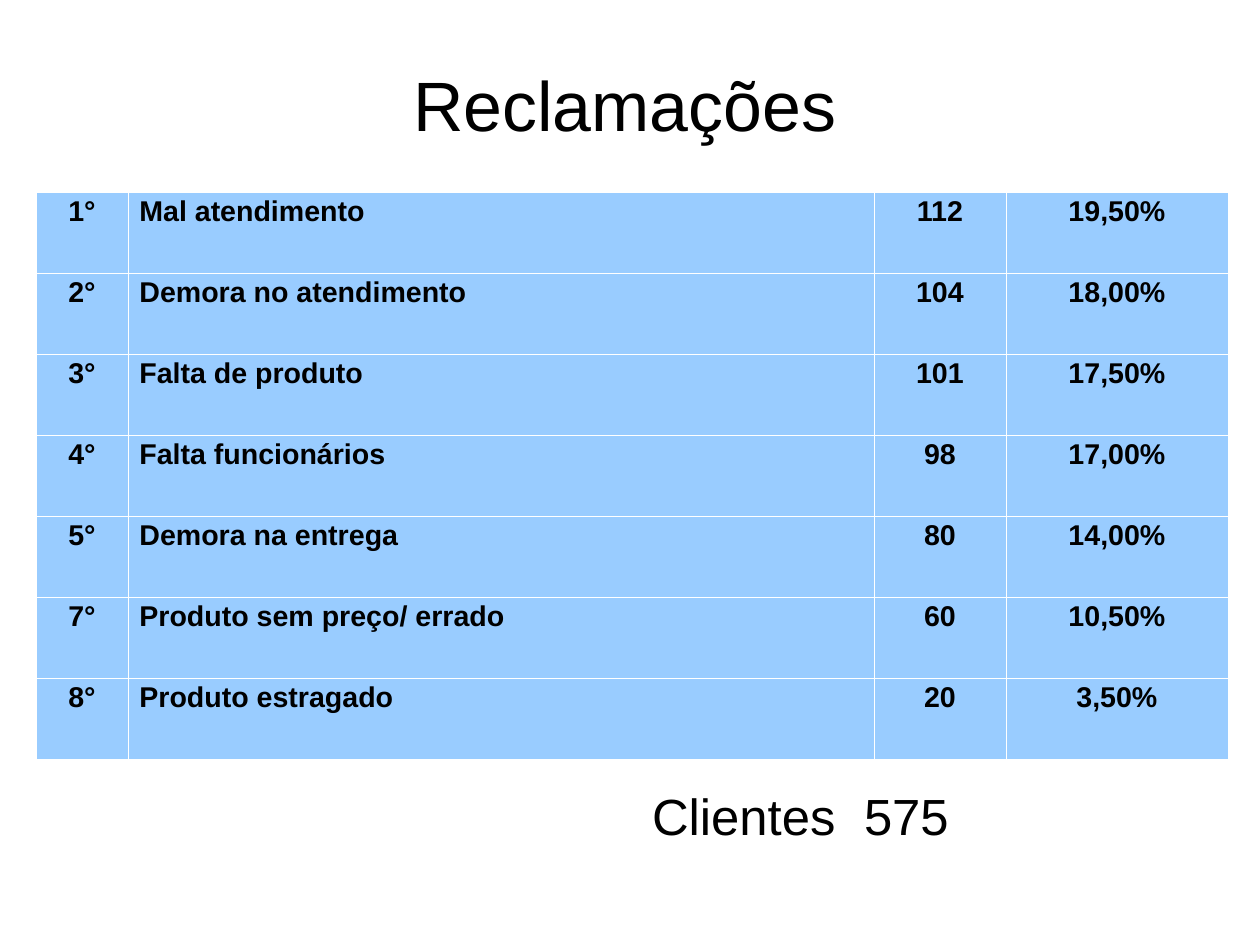
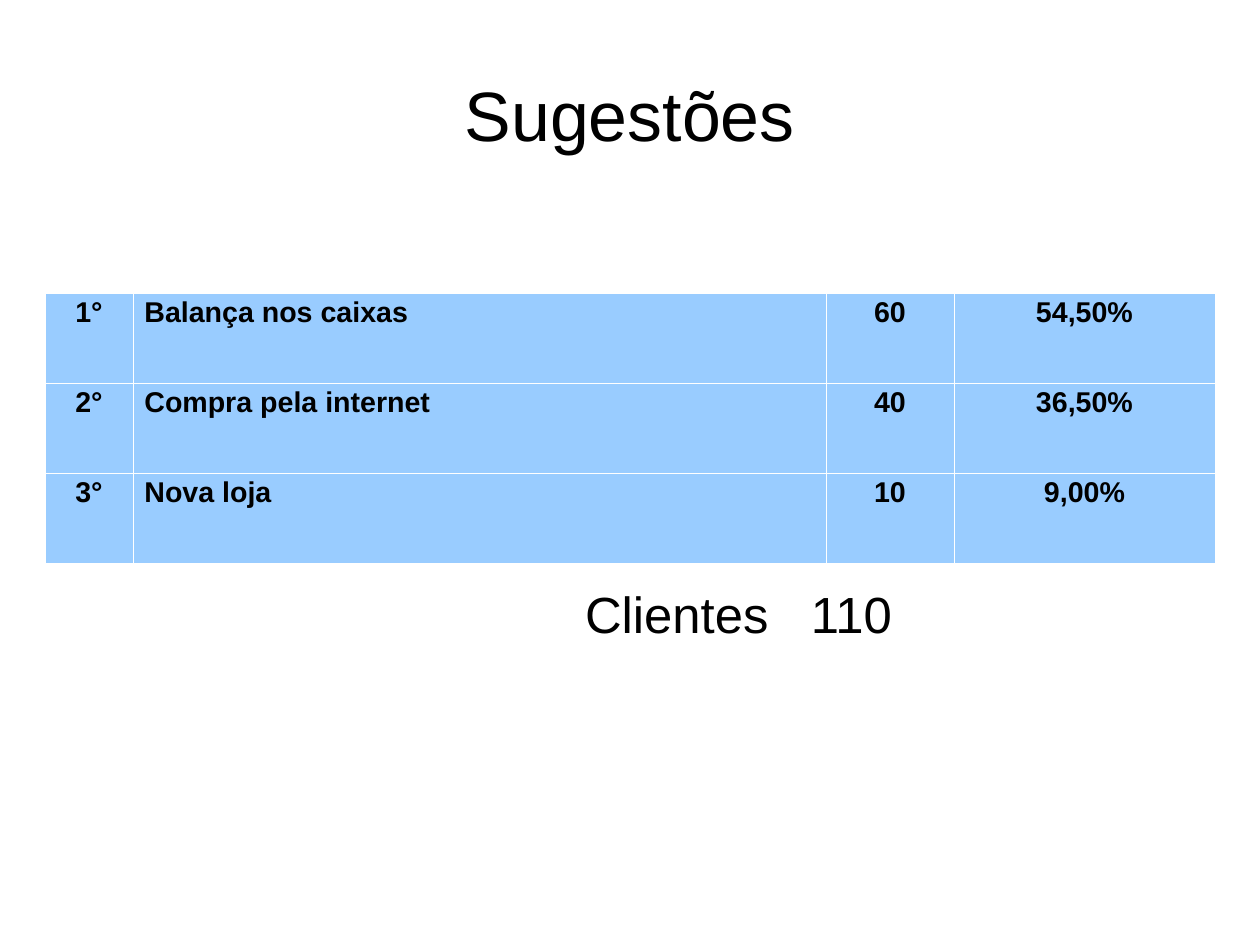
import pptx
import pptx.dml.color
import pptx.enum.text
import pptx.oxml
import pptx.oxml.ns
import pptx.util

COLORS = {"page": "FFFFFF", "text": "000000", "cell": "99CCFF", "border": "FFFFFF"}
FONT = "Arial"
PX = 8000
PAGE_SIZE = (1260, 945)
TITLE_SIZE = (1134, 146)
TOTAL_SIZE = (472, 112)
TOTAL_INDENT = 67
LINE_SPACING = 0.93
BORDER_WIDTH = 720

CENTER = pptx.enum.text.PP_ALIGN.CENTER
LEFT = pptx.enum.text.PP_ALIGN.LEFT
COLUMN_ALIGNMENTS = (CENTER, LEFT, CENTER, CENTER)

STYLES = {
    "title": {"size": pptx.util.Pt(44), "bold": False},
    "cell": {"size": pptx.util.Pt(18), "bold": True},
    "total": {"size": pptx.util.Pt(32), "bold": False},
}

PAGES = [
    {
        "title": "Reclamações",
        "title_at": (58, 33),
        "table_at": (36, 192),
        "columns": (92, 746, 132, 222),
        "row_height": 81,
        "rows": [
            ("1°", "Mal atendimento", "112", "19,50%"),
            ("2°", "Demora no atendimento", "104", "18,00%"),
            ("3°", "Falta de produto", "101", "17,50%"),
            ("4°", "Falta funcionários", "98", "17,00%"),
            ("5°", "Demora na entrega", "80", "14,00%"),
            ("7°", "Produto sem preço/ errado", "60", "10,50%"),
            ("8°", "Produto estragado", "20", "3,50%"),
        ],
        "total": "Clientes\t575",
        "total_at": (585, 787),
        "total_tab": 212,
    },
    {
        "title": "Sugestões",
        "title_at": (63, 43),
        "table_at": (45, 293),
        "columns": (88, 693, 128, 261),
        "row_height": 90,
        "rows": [
            ("1°", "Balança nos caixas", "60", "54,50%"),
            ("2°", "Compra pela internet", "40", "36,50%"),
            ("3°", "Nova loja", "10", "9,00%"),
        ],
        "total": "Clientes\t110",
        "total_at": (518, 585),
        "total_tab": 226,
    },
]


def emu(*lengths):
    return [pptx.util.Emu(length * PX) for length in lengths]


def rgb(name):
    return pptx.dml.color.RGBColor.from_string(COLORS[name])


def add_xml(parent, tag, body):
    namespaces = pptx.oxml.ns.nsdecls("a")
    parent.append(pptx.oxml.parse_xml(f"<a:{tag} {namespaces}{body}</a:{tag.split()[0]}>"))


def write(frame, text, style, alignment, tab=None):
    para = frame.paragraphs[0]
    para.alignment = alignment
    para.line_spacing = LINE_SPACING
    if tab:
        add_xml(para._p.get_or_add_pPr(), "tabLst", f'><a:tab pos="{tab * PX}" algn="l"/>')
    span = para.add_run()
    span.text = text
    for name, value in {"name": FONT, **STYLES[style]}.items():
        setattr(span.font, name, value)
    span.font.color.rgb = rgb("text")


def add_text(page, at, size, text, style, alignment, anchor, left=0, top=0, tab=None):
    frame = page.shapes.add_textbox(*emu(*at, *size)).text_frame
    margins = dict(zip(("margin_left", "margin_top", "margin_right", "margin_bottom"),
                       emu(left, top, 0, 0)))
    for name, value in {"word_wrap": True, "vertical_anchor": anchor, **margins}.items():
        setattr(frame, name, value)
    write(frame, text, style, alignment, tab)


def add_ranking(page, content):
    rows, columns = content["rows"], content["columns"]
    height = content["row_height"]
    size = (sum(columns), height * len(rows))
    table = page.shapes.add_table(
        len(rows), len(columns), *emu(*content["table_at"], *size)).table
    table.first_row = table.horz_banding = False
    for column, width in zip(table.columns, emu(*columns)):
        column.width = width
    for row, texts in zip(table.rows, rows):
        row.height = emu(height)[0]
        for cell, text, alignment in zip(row.cells, texts, COLUMN_ALIGNMENTS):
            write(cell.text_frame, text, "cell", alignment)
            for side in "LRTB":
                add_xml(cell._tc.get_or_add_tcPr(), f"ln{side}",
                        f' w="{BORDER_WIDTH}"><a:solidFill>'
                        f'<a:srgbClr val="{COLORS["border"]}"/></a:solidFill>')
            cell.fill.solid()
            cell.fill.fore_color.rgb = rgb("cell")


def main():
    deck = pptx.Presentation()
    deck.slide_width, deck.slide_height = emu(*PAGE_SIZE)
    anchors = pptx.enum.text.MSO_ANCHOR
    for content in PAGES:
        page = deck.slides.add_slide(deck.slide_layouts[6])
        page.background.fill.solid()
        page.background.fill.fore_color.rgb = rgb("page")
        add_text(page, content["title_at"], TITLE_SIZE, content["title"], "title",
                 CENTER, anchors.MIDDLE, top=5)
        add_ranking(page, content)
        add_text(page, content["total_at"], TOTAL_SIZE, content["total"], "total",
                 LEFT, anchors.TOP, left=TOTAL_INDENT, top=3, tab=content["total_tab"])
    deck.save("out.pptx")


if __name__ == "__main__":
    main()
